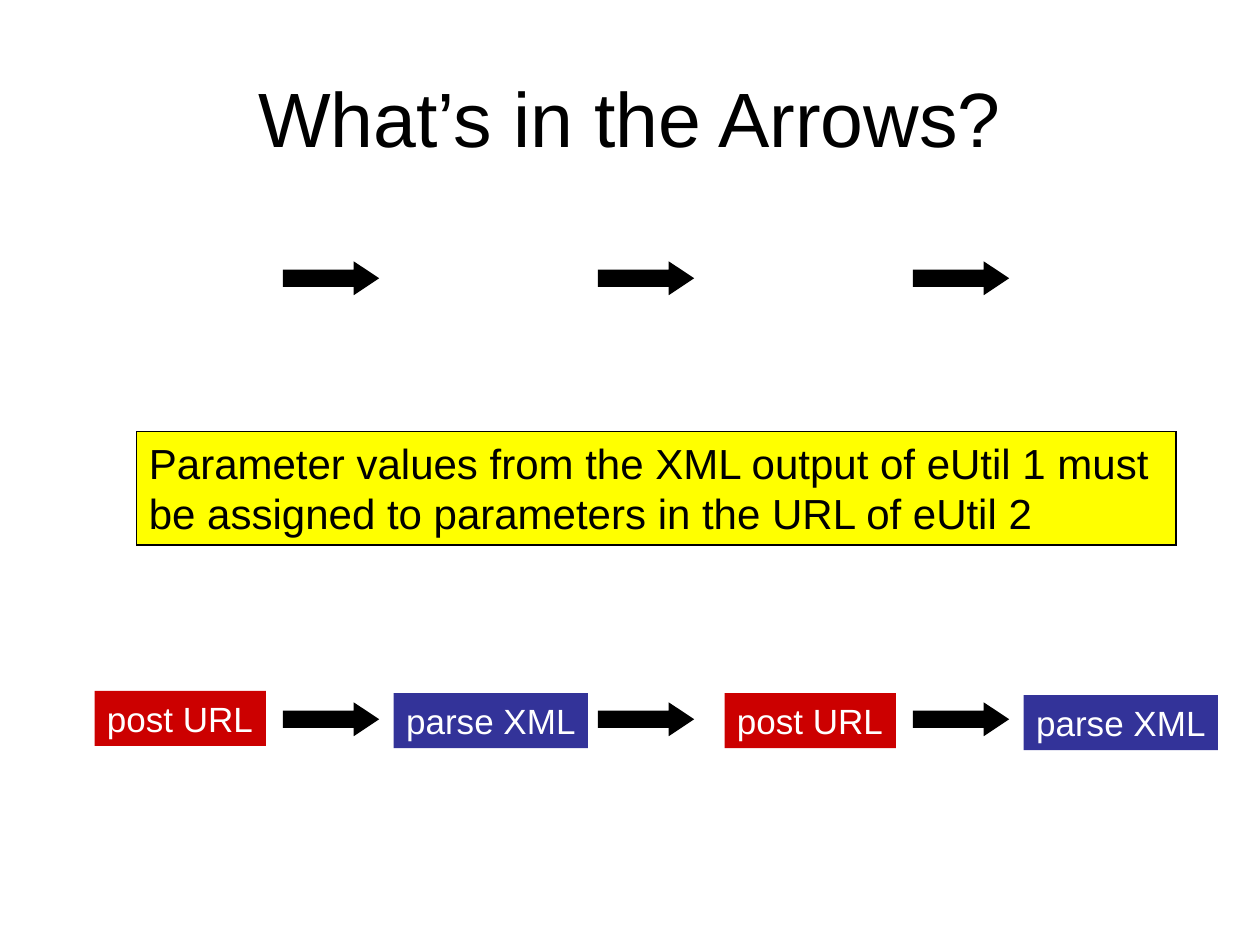
from lxml import etree
from pptx import Presentation
from pptx.dml.color import RGBColor
from pptx.enum import shapes, text
from pptx.oxml import ns
from pptx.util import Pt

BLACK, WHITE, YELLOW, RED, BLUE = "000000", "FFFFFF", "FFFF00", "CC0000", "333399"


def color(value):
    """Turn a hex string into a colour."""
    return RGBColor.from_string(value)


def write(shape, words, size=20, ink=BLACK, align=text.PP_ALIGN.LEFT,
          anchor=text.MSO_ANCHOR.TOP, right=7.2):
    """Put formatted text into a shape."""
    frame = shape.text_frame
    frame.text = words
    frame.word_wrap = True
    frame.vertical_anchor = anchor
    frame.auto_size = text.MSO_AUTO_SIZE.NONE
    frame.margin_left, frame.margin_right = Pt(7.2), Pt(right)
    frame.margin_top = frame.margin_bottom = Pt(3.6)
    paragraph = frame.paragraphs[0]
    paragraph.alignment = align
    paragraph.font.name = "Arial"
    paragraph.font.size = Pt(size)
    paragraph.font.color.rgb = color(ink)


class Deck:
    """Hold the style and the current slide."""

    line_width = 0.75
    arrow_size = (54, 18)

    def __init__(self, width, height):
        """Open a presentation with one title-only slide."""
        self.presentation = Presentation()
        self.presentation.slide_width = Pt(width)
        self.presentation.slide_height = Pt(height)
        self.slide = self.presentation.slides.add_slide(self.presentation.slide_layouts[5])

    def title(self, words, left, top, width, height):
        """Place the slide title."""
        shape = self.slide.shapes.title
        shape.left, shape.top, shape.width, shape.height = map(Pt, (left, top, width, height))
        write(shape, words, size=44, align=text.PP_ALIGN.CENTER, anchor=text.MSO_ANCHOR.MIDDLE)

    def shape(self, kind, left, top, width, height, fill, line=None):
        """Add a filled preset shape with mitred corners."""
        shape = self.slide.shapes.add_shape(kind, *map(Pt, (left, top, width, height)))
        shape.shadow.inherit = False
        shape.fill.solid()
        shape.fill.fore_color.rgb = color(fill)
        if line:
            shape.line.color.rgb = color(line)
            shape.line.width = Pt(self.line_width)
            outline = shape.element.spPr.find(ns.qn("a:ln"))
            etree.SubElement(outline, ns.qn("a:miter"), lim="800000")
        else:
            shape.line.fill.background()
        return shape

    def box(self, words, left, top, width, height, fill, line=None, **style):
        """Add a rectangle with text."""
        shape = self.shape(shapes.MSO_SHAPE.RECTANGLE, left, top, width, height, fill, line)
        write(shape, words, **style)

    def arrow(self, left, top):
        """Add a block arrow pointing right."""
        shape = self.shape(shapes.MSO_SHAPE.RIGHT_ARROW, left, top, *self.arrow_size, BLACK, BLACK)
        shape.adjustments[0] = 0.5
        shape.adjustments[1] = 0.75


def main():
    """Build and save the slide."""
    deck = Deck(720, 540)
    deck.title("What’s in the Arrows?", 36, 21.6, 648, 90)
    for top in (150, 402):
        for column in range(3):
            deck.arrow(162 + 180 * column, top)
    deck.box("Parameter values from the XML output of eUtil 1 must be assigned "
             "to parameters in the URL of eUtil 2",
             78, 246.5, 594, 65, YELLOW, BLACK, size=24)
    post, parse = ("post URL", 98, RED), ("parse XML", 111, BLUE)
    steps = [(post, 54, 394.75), (parse, 225, 396), (post, 414, 396), (parse, 585, 397.25)]
    for (words, width, fill), left, top in steps:
        deck.box(words, left, top, width, 31.5, fill, ink=WHITE, right=0)
    deck.presentation.save("out.pptx")


if __name__ == "__main__":
    main()
